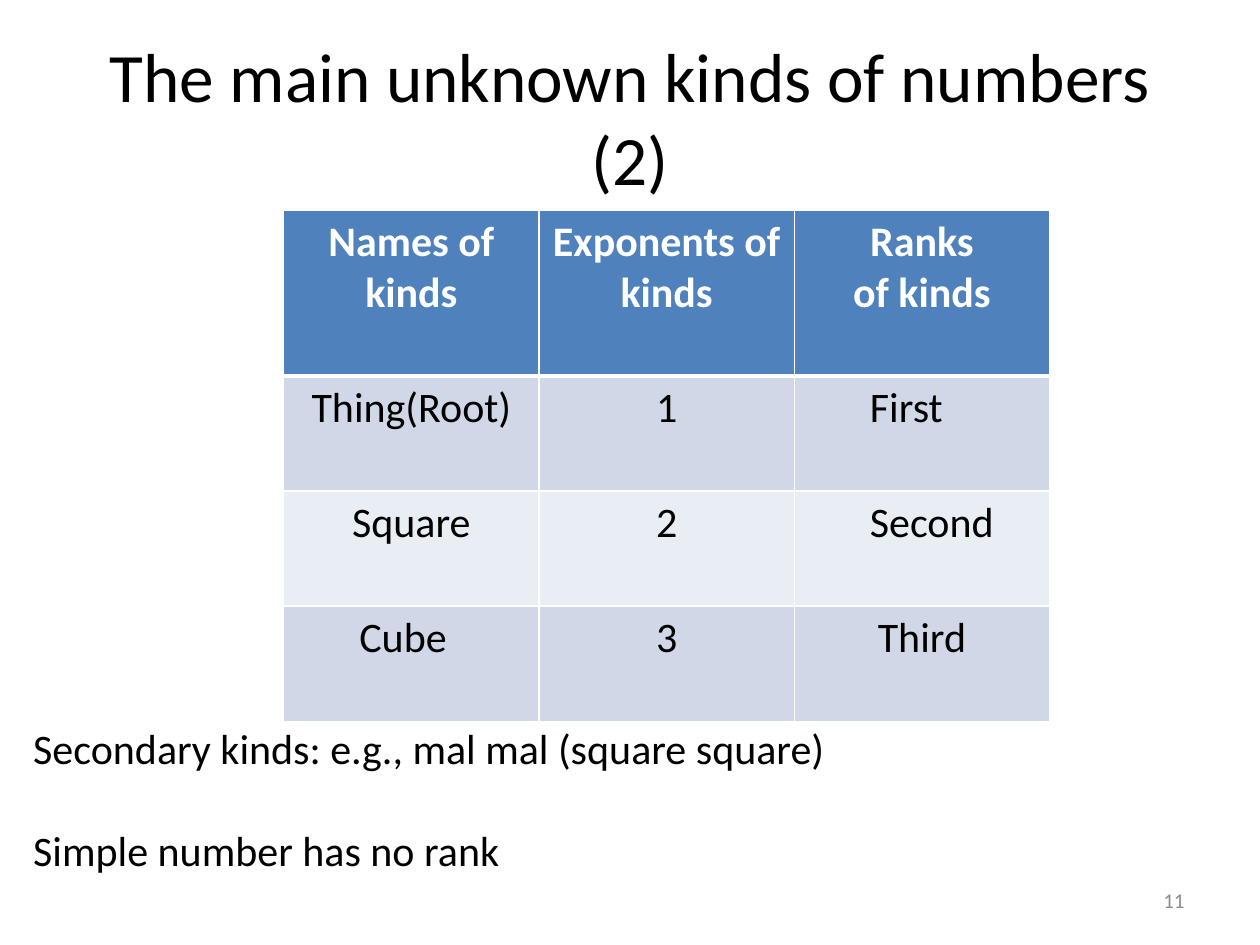
from dataclasses import dataclass

from lxml.etree import SubElement
from pptx import Presentation
from pptx.dml.color import RGBColor
from pptx.enum.text import MSO_ANCHOR as Anchor, PP_ALIGN as Align
from pptx.oxml.ns import qn
from pptx.util import Cm, Pt


@dataclass(frozen=True)
class Theme:
    """Colours, font and type sizes of the slide."""
    font: str = "Calibri"
    ink: str = "000000"
    paper: str = "FFFFFF"
    muted: str = "8C8C8C"
    header: str = "4F81BD"
    bands: tuple = ("D0D8E8", "E9EDF4")
    title_size: float = 39.6
    body_size: float = 24
    number_size: float = 12


@dataclass(frozen=True)
class Box:
    """A region in centimetres."""
    left: float
    top: float
    width: float
    height: float

    def lengths(self):
        """Return the four lengths for python-pptx."""
        return Cm(self.left), Cm(self.top), Cm(self.width), Cm(self.height)


THEME = Theme()
HEADINGS = (["Names of kinds"], ["Exponents of kinds"], ["Ranks", "of kinds"])
KINDS = (
    ("Thing(Root)", "1", "First"),
    ("Square", "2", "Second"),
    ("Cube", "3", "Third"),
)
INDENTED = {"First", "Second", "Cube"}
NOTES = ("Secondary kinds: e.g., mal mal (square square)", "Simple number has no rank")


def write_lines(frame, lines, size, color=THEME.ink, align=Align.LEFT, bold=False, gap=0):
    """Write one paragraph per line, with a gap in points between them."""
    for index, line in enumerate(lines):
        paragraph = frame.add_paragraph() if index else frame.paragraphs[0]
        paragraph.alignment = align
        if index and gap:
            paragraph.space_before = Pt(gap)
        run = paragraph.add_run()
        run.text = line
        run.font.name = THEME.font
        run.font.size = Pt(size)
        run.font.bold = bold
        run.font.color.rgb = RGBColor.from_string(color)


def add_text(slide, box, lines, size, wrap=True, anchor=Anchor.MIDDLE, **style):
    """Add a text box that fills the given box."""
    frame = slide.shapes.add_textbox(*box.lengths()).text_frame
    frame.word_wrap = wrap
    frame.vertical_anchor = anchor
    write_lines(frame, lines, size, **style)


def style_cell(cell, fill, bottom_width):
    """Give a cell white borders and a solid fill."""
    properties = cell._tc.get_or_add_tcPr()
    for side, width in (("L", 1), ("R", 1), ("T", 1), ("B", bottom_width)):
        line = SubElement(properties, qn(f"a:ln{side}"), w=str(Pt(width)))
        solid = SubElement(line, qn("a:solidFill"))
        SubElement(solid, qn("a:srgbClr"), val=THEME.paper)
    cell.fill.solid()
    cell.fill.fore_color.rgb = RGBColor.from_string(fill)


def add_kinds_table(slide, box, header_height):
    """Add the table of kinds with a header row and banded body rows."""
    row_count, column_count = len(KINDS) + 1, len(HEADINGS)
    table = slide.shapes.add_table(row_count, column_count, *box.lengths()).table
    for column in table.columns:
        column.width = Cm(box.width / column_count)
    for row in table.rows:
        row.height = Cm((box.height - header_height) / len(KINDS))
    table.rows[0].height = Cm(header_height)

    for cell, lines in zip(table.rows[0].cells, HEADINGS):
        style_cell(cell, THEME.header, 3)
        write_lines(cell.text_frame, lines, THEME.body_size, THEME.paper, Align.CENTER, True)

    for index, kind in enumerate(KINDS):
        for cell, text in zip(table.rows[index + 1].cells, kind):
            style_cell(cell, THEME.bands[index % 2], 1)
            indented = text in INDENTED
            align = Align.LEFT if indented else Align.CENTER
            write_lines(cell.text_frame, [text], THEME.body_size, align=align)
            if indented:
                properties = cell.text_frame.paragraphs[0]._p.get_or_add_pPr()
                properties.set("marL", str(Cm(1.27)))


def main():
    """Build and save the slide."""
    presentation = Presentation()
    presentation.slide_width, presentation.slide_height = Cm(25.4), Cm(19.05)
    slide = presentation.slides.add_slide(presentation.slide_layouts[6])
    add_text(slide, Box(1.27, 0.76, 22.86, 3.18), ["The main unknown kinds of numbers (2)"],
             THEME.title_size, align=Align.CENTER)
    add_text(slide, Box(18.2, 17.65, 5.93, 1.01), ["11"], THEME.number_size,
             color=THEME.muted, align=Align.RIGHT)
    add_kinds_table(slide, Box(5.72, 4.24, 15.44, 10.3), 3.34)
    add_text(slide, Box(0.42, 14.45, 16.6, 3.33), NOTES, THEME.body_size,
             wrap=False, anchor=Anchor.TOP, gap=29.3)
    presentation.save("out.pptx")


if __name__ == "__main__":
    main()
